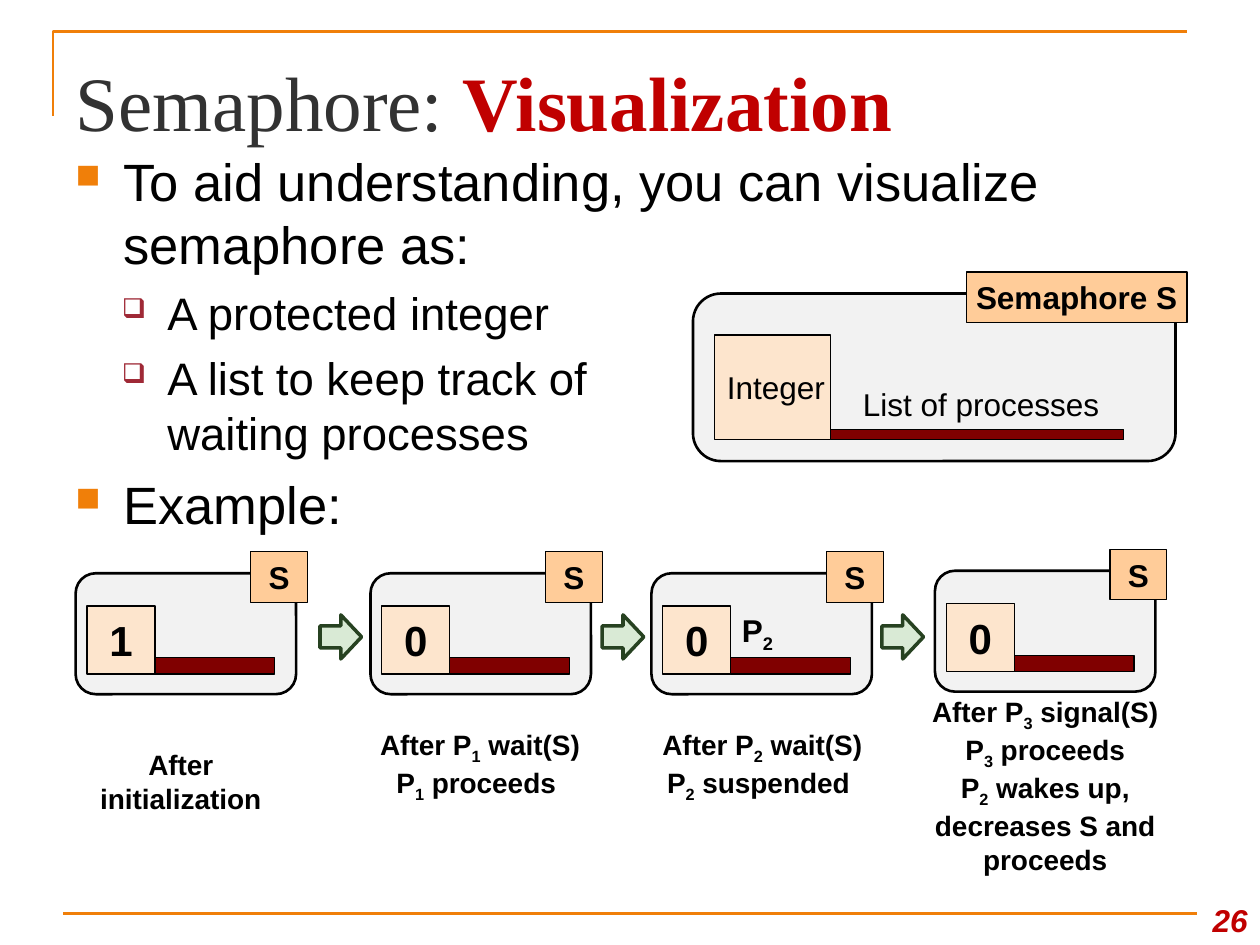
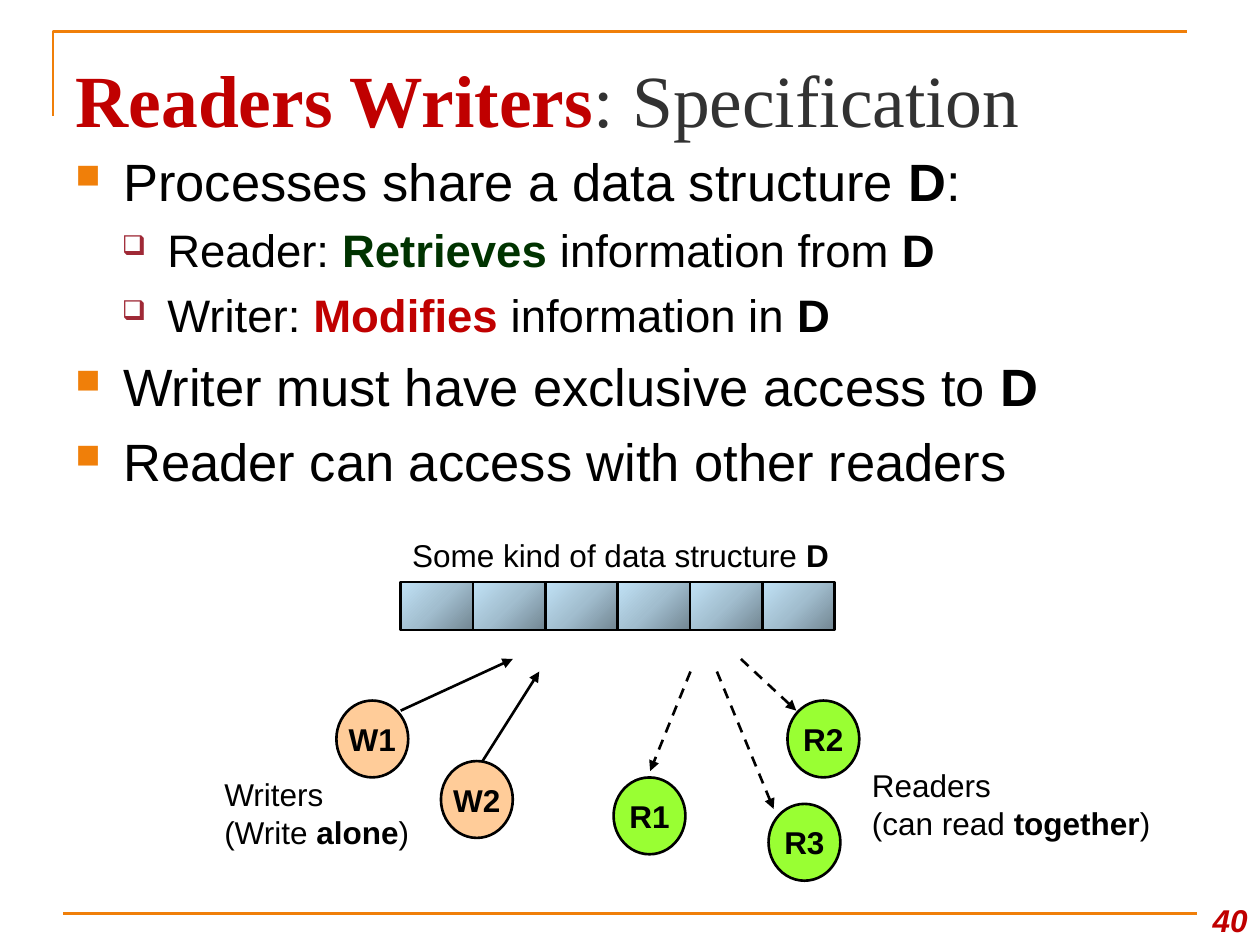
import copy

import pptx
import pptx.dml.color
import pptx.enum.dml
import pptx.enum.shapes
import pptx.enum.text
import pptx.oxml
import pptx.oxml.ns
import pptx.util

SLIDE_WIDTH = pptx.util.Inches(10)
SLIDE_HEIGHT = pptx.util.Inches(7.5)
COLUMNS = 100

BLACK, RED, GREEN, TITLE_GREY = "000000", "C00000", "003300", "323232"
ORANGE, BULLET_RED = "F07F09", "9F2936"
PANEL, PEACH, PALE_PEACH, MAROON = "F2F2F2", "FFCC99", "FDE5CD", "800000"
ARROW_FILL, ARROW_LINE, LIME = "D9EAD5", "274221", "99FF33"
CELL_STOPS = [(0, "728692"), (0.5, "A2BECF"), (1, "C1E2F6")]

SHAPES = pptx.enum.shapes.MSO_SHAPE
ALIGN = pptx.enum.text.PP_ALIGN
ANCHOR = pptx.enum.text.MSO_ANCHOR

BOLD = {"bold": True}
SUBSCRIPT = {"subscript": True}
LABEL_INSETS = (0.9, 0.4)
BULLETS = [
    {"char": "■", "color": ORANGE, "percent": 65, "size": 30, "left": 3.8, "hang": 3.8, "before": 7},
    {"char": "❑", "color": BULLET_RED, "percent": 60, "size": 26, "left": 7.3, "hang": 3.6, "before": 6},
]


def grid(count):
    """Return the length of a number of square grid units, 100 to the slide's width."""
    return round(SLIDE_WIDTH * count / COLUMNS)


def rgb(value):
    """Turn a hex string into a colour."""
    return pptx.dml.color.RGBColor.from_string(value)


def add_runs(paragraph, runs, size, color=BLACK, font_name="Arial", bold=False, italic=False):
    """Add runs, each a plain string or a pair of string and style."""
    for item in runs:
        text, style = (item, {}) if isinstance(item, str) else item
        if text == "\n":
            paragraph.add_line_break()
            continue
        run = paragraph.add_run()
        run.text = text
        run.font.name = font_name
        run.font.size = pptx.util.Pt(size)
        run.font.bold = style.get("bold", bold)
        run.font.italic = italic
        run.font.color.rgb = rgb(style.get("color", color))
        if style.get("subscript"):
            run.font._element.set("baseline", "-25000")


def write(shape, lines, size, align=ALIGN.LEFT, anchor=ANCHOR.MIDDLE, wrap=False,
          insets=(1, 0.5), **style):
    """Fill a shape's text frame with lines of runs."""
    frame = shape.text_frame
    frame.word_wrap = wrap
    frame.vertical_anchor = anchor
    frame.margin_left = frame.margin_right = grid(insets[0])
    frame.margin_top = frame.margin_bottom = grid(insets[1])
    for index, runs in enumerate(lines):
        paragraph = frame.add_paragraph() if index else frame.paragraphs[0]
        paragraph.alignment = align
        add_runs(paragraph, runs, size, **style)


def add_text(slide, box, lines, size, **options):
    """Add a text box at a grid box."""
    shape = slide.shapes.add_textbox(*map(grid, box))
    write(shape, lines, size, **options)
    return shape


def add_box(slide, kind, box, fill, line=BLACK, width=0.75):
    """Add a filled and outlined preset shape at a grid box."""
    shape = slide.shapes.add_shape(kind, *map(grid, box))
    shape.shadow.inherit = False
    shape.fill.solid()
    shape.fill.fore_color.rgb = rgb(fill)
    shape.line.color.rgb = rgb(line)
    shape.line.width = pptx.util.Pt(width)
    return shape


def add_line(slide, start, end, color=BLACK, dashed=False, arrow=True):
    """Add a straight line between two grid points."""
    connector = slide.shapes.add_connector(
        pptx.enum.shapes.MSO_CONNECTOR.STRAIGHT, *map(grid, start + end))
    connector.line.color.rgb = rgb(color)
    connector.line.width = pptx.util.Pt(1.5)
    if dashed:
        connector.line.dash_style = pptx.enum.dml.MSO_LINE.DASH
    if arrow:
        tail = pptx.oxml.parse_xml(
            f'<a:tailEnd {pptx.oxml.ns.nsdecls("a")} type="triangle"/>')
        connector.line._get_or_add_ln().append(tail)
    connector._element.spPr.append(
        pptx.oxml.parse_xml(f'<a:effectLst {pptx.oxml.ns.nsdecls("a")}/>'))


def add_frame(slide, number):
    """Draw the corner rule, the foot rule and the page number."""
    builder = slide.shapes.build_freeform(grid(4.2), grid(9.2))
    builder.add_line_segments([(grid(4.2), grid(2.5)), (grid(94.2), grid(2.5))], close=False)
    corner = builder.convert_to_shape()
    corner.shadow.inherit = False
    corner.fill.background()
    corner.line.color.rgb = rgb(ORANGE)
    corner.line.width = pptx.util.Pt(1.5)
    add_line(slide, (5, 72.5), (95, 72.5), color=ORANGE, arrow=False)
    add_text(slide, (94.2, 70, 5.8, 5), [[number]], 18, align=ALIGN.RIGHT,
             anchor=ANCHOR.BOTTOM, wrap=True, color=RED, bold=True, italic=True)


def start_slide(presentation, title_runs, title_size, number):
    """Add a title-only slide with its title and frame."""
    slide = presentation.slides.add_slide(presentation.slide_layouts[5])
    title = slide.shapes.title
    title.left, title.top, title.width, title.height = map(grid, (5, 3, 90, 7.8))
    write(title, [title_runs], title_size, anchor=ANCHOR.TOP, wrap=True, insets=(1, 1.3),
          color=TITLE_GREY, font_name="Times New Roman")
    title.text_frame.auto_size = pptx.enum.text.MSO_AUTO_SIZE.NONE
    add_frame(slide, number)
    return slide


def set_bullet(paragraph, bullet):
    """Give a paragraph its indent and coloured bullet."""
    properties = paragraph._p.get_or_add_pPr()
    properties.set("marL", str(grid(bullet["left"])))
    properties.set("indent", str(-grid(bullet["hang"])))
    namespace = pptx.oxml.ns.nsdecls("a")
    for xml in (
        f'<a:buClr {namespace}><a:srgbClr val="{bullet["color"]}"/></a:buClr>',
        f'<a:buSzPct {namespace} val="{bullet["percent"] * 1000}"/>',
        f'<a:buChar {namespace} char="{bullet["char"]}"/>',
    ):
        properties.append(pptx.oxml.parse_xml(xml))


def add_bullets(slide, height, items):
    """Add the bulleted body from pairs of level and runs."""
    body = add_text(slide, (5, 10.8, 90, height), [], 30, anchor=ANCHOR.TOP, wrap=True,
                    insets=(1, 1))
    frame = body.text_frame
    for index, (level, runs) in enumerate(items):
        paragraph = frame.add_paragraph() if index else frame.paragraphs[0]
        paragraph.level = level
        set_bullet(paragraph, BULLETS[level])
        paragraph.space_before = pptx.util.Pt(BULLETS[level]["before"] if index else 0)
        add_runs(paragraph, runs, BULLETS[level]["size"])


def add_semaphore(slide, panel, tag, tag_width, integer, integer_box, bar_size, **integer_style):
    """Draw a panel with a corner tag, an integer cell and a list bar beside its foot."""
    left, top, width, _ = panel
    cell_left, cell_top, cell_width, cell_height = integer_box
    cell_left, cell_top = left + cell_left, top + cell_top
    bar_width, bar_height = bar_size
    add_box(slide, SHAPES.ROUNDED_RECTANGLE, panel, PANEL, width=1.5)
    label = add_box(slide, SHAPES.RECTANGLE,
                    (left + width + 0.9 - tag_width, top - 1.7, tag_width, 4), PEACH)
    write(label, [[tag]], 18, align=ALIGN.CENTER, bold=True)
    cell = add_box(slide, SHAPES.RECTANGLE, (cell_left, cell_top, cell_width, cell_height),
                   PALE_PEACH)
    write(cell, [[integer]], **integer_style)
    add_box(slide, SHAPES.RECTANGLE,
            (cell_left + cell_width, cell_top + cell_height - bar_height, bar_width, bar_height),
            MAROON)


def add_node(slide, name, left, top, fill):
    """Draw a named process circle."""
    node = add_box(slide, SHAPES.OVAL, (left, top, 5.7, 6.1), fill, width=1.5)
    write(node, [[name]], 18, align=ALIGN.CENTER, bold=True, insets=LABEL_INSETS)


def add_gradient_cell(slide, box):
    """Draw one shaded cell of the data structure."""
    cell = add_box(slide, SHAPES.RECTANGLE, box, CELL_STOPS[0][1], width=1.5)
    cell.fill.gradient()
    cell.fill.gradient_angle = 135
    stop_list = cell._element.spPr.find(".//" + pptx.oxml.ns.qn("a:gsLst"))
    stop_list.insert(1, copy.deepcopy(stop_list[0]))
    for stop, (position, color) in zip(cell.fill.gradient_stops, CELL_STOPS):
        stop.position = position
        stop.color.rgb = rgb(color)


def build_semaphore_slide(presentation):
    """Build the semaphore visualization slide."""
    slide = start_slide(
        presentation, ["Semaphore: ", ("Visualization", {"bold": True, "color": RED})], 44, "26")
    add_bullets(slide, 31.7, [
        (0, ["To aid understanding, you can visualize semaphore as:"]),
        (1, ["A protected integer"]),
        (1, ["A list to keep track of", "\n", "waiting processes"]),
        (0, ["Example:"]),
    ])
    add_semaphore(slide, (55, 23.3, 38.3, 13.3), "Semaphore S", 17.5, "Integer",
                  (1.7, 3.3, 9.2, 8.3), (23.3, 0.8), size=18)
    add_text(slide, (67.5, 27.9, 25, 8.3), [["List of processes"]], 18)

    for left, top, value in [(6, 45.5, "1"), (29.4, 45.5, "0"), (51.7, 45.5, "0"),
                             (74.2, 45.3, "0")]:
        add_semaphore(slide, (left, top, 17.5, 9.6), "S", 4.5, value, (0.9, 2.6, 5.4, 5.4),
                      (9.5, 1.3), size=24, bold=True, align=ALIGN.CENTER)
    add_text(slide, (57.9, 48.1, 9.5, 4.2), [["P", ("2", SUBSCRIPT)]], 18, bold=True)
    for left in (25.4, 47.8, 70):
        add_box(slide, SHAPES.RIGHT_ARROW, (left, 48.8, 3.3, 3.5), ARROW_FILL, ARROW_LINE, 2)

    one, two, three = (((digit), SUBSCRIPT) for digit in "123")
    captions = [
        ((6.9, 57.3, 14.9, 9.4), [["After initialization"]]),
        ((27.7, 57.4, 20.8, 6.7), [["After P", one, " wait(S)"], ["P", one, " proceeds "]]),
        ((50.1, 57.4, 20.8, 6.7), [["After P", two, " wait(S)"], ["P", two, " suspended "]]),
        ((70.9, 55.4, 24.1, 13.8), [["After P", three, " signal(S)"], ["P", three, " proceeds"],
                                    ["P", two, " wakes up, decreases S and proceeds"]]),
    ]
    for box, lines in captions:
        add_text(slide, box, lines, 16, align=ALIGN.CENTER, wrap=True, bold=True, insets=(1, 0))


def build_readers_writers_slide(presentation):
    """Build the readers and writers specification slide."""
    slide = start_slide(
        presentation, [("Readers Writers", {"bold": True, "color": RED}), ": Specification"],
        42, "40")
    structure = ("D", BOLD)
    add_bullets(slide, 29.7, [
        (0, ["Processes share a data structure ", structure, ":"]),
        (1, ["Reader: ", ("Retrieves ", {"bold": True, "color": GREEN}),
             "information from ", structure]),
        (1, ["Writer: ", ("Modifies", {"bold": True, "color": RED}),
             " information in ", structure]),
        (0, ["Writer must have exclusive access to ", structure]),
        (0, ["Reader can access with other readers"]),
    ])
    for column in range(6):
        add_gradient_cell(slide, (31.8 + 5.74 * column, 46.2, 5.74, 3.8))

    for name, left, top, fill in [
        ("R1", 48.7, 61.7, LIME), ("R2", 62.5, 55.6, LIME), ("R3", 61, 63.8, LIME),
        ("W1", 26.7, 55.6, PEACH), ("W2", 35, 60.4, PEACH),
    ]:
        add_node(slide, name, left, top, fill)
    for start, end in [((54.8, 53.3), (51.6, 61.2)), ((58.8, 52.3), (63.2, 56.4)),
                       ((56.9, 53.3), (61.4, 64.2))]:
        add_line(slide, start, end, dashed=True)
    for start, end in [((31.8, 56.4), (40.7, 52.3)), ((38.3, 60.4), (42.8, 53.3))]:
        add_line(slide, start, end)

    for box, lines in [
        ((31.8, 42.1, 35.2, 3.9), [["Some kind of data structure ", structure]]),
        ((68.3, 60.4, 24.1, 7), [["Readers"], ["(can read ", ("together", BOLD), ")"]]),
        ((16.9, 61.1, 16.6, 7), [["Writers"], ["(Write ", ("alone", BOLD), ")"]]),
    ]:
        add_text(slide, box, lines, 18, anchor=ANCHOR.TOP, insets=LABEL_INSETS)


def main():
    """Build and save the presentation."""
    presentation = pptx.Presentation()
    presentation.slide_width = SLIDE_WIDTH
    presentation.slide_height = SLIDE_HEIGHT
    build_semaphore_slide(presentation)
    build_readers_writers_slide(presentation)
    presentation.save("out.pptx")


if __name__ == "__main__":
    main()
